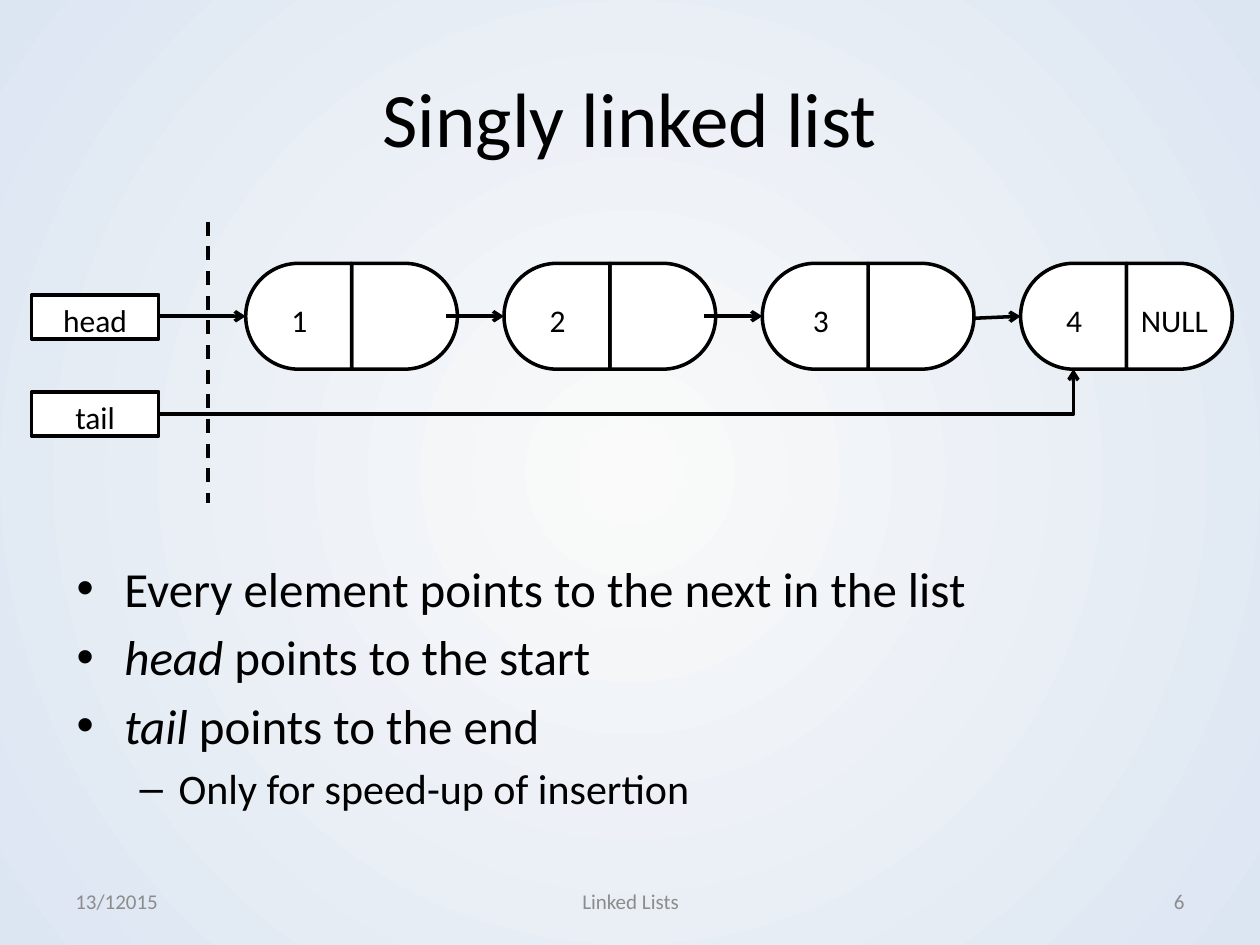
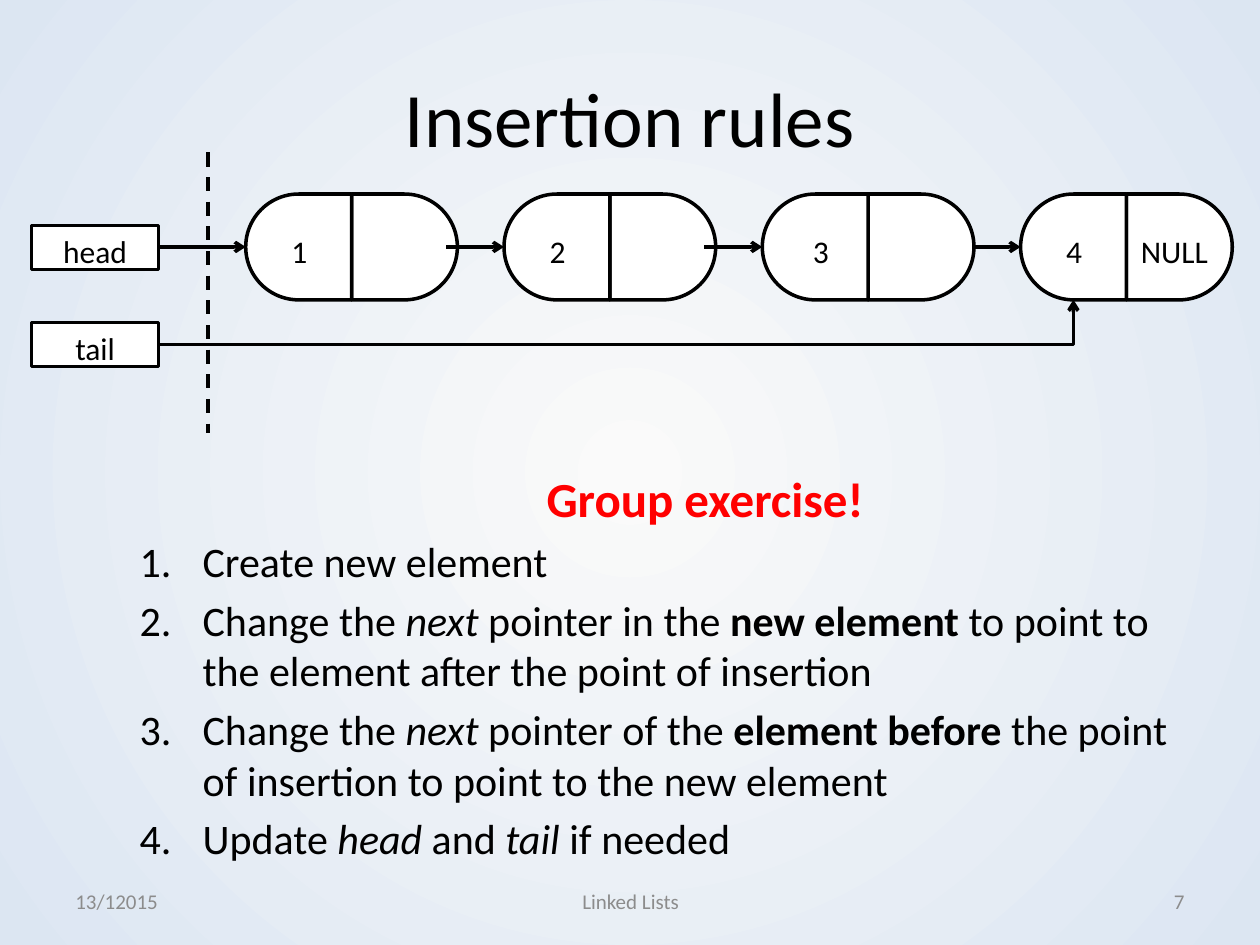
from lxml.etree import SubElement
from pptx import Presentation
from pptx.dml.color import RGBColor
from pptx.enum.dml import MSO_LINE
from pptx.enum.shapes import MSO_CONNECTOR as CONNECTOR, MSO_SHAPE as SHAPE
from pptx.enum.text import MSO_ANCHOR as ANCHOR, PP_ALIGN as ALIGN
from pptx.oxml.ns import qn
from pptx.util import Inches, Pt

BLACK = RGBColor(0x00, 0x00, 0x00)
WHITE = RGBColor(0xFF, 0xFF, 0xFF)
RED = RGBColor(0xFF, 0x00, 0x00)
GREY = RGBColor(0x8C, 0x8C, 0x8C)
CENTRE_TINT = RGBColor(0xFA, 0xFA, 0xFA)
EDGE_TINT = RGBColor(0xDC, 0xE6, 0xF2)

# Linked list geometry, in inches
CELL = 0.84
FIRST_NODE_LEFT = 1.95
NODE_PITCH = 2.05
ARROW_LENGTH = 0.46
BOX_LEFT, BOX_WIDTH, BOX_HEIGHT = 0.25, 1.01, 0.35
BOX_RIGHT = BOX_LEFT + BOX_WIDTH
LABEL_DROP = 0.25
TAIL_DROP = 1.02
DIVIDER_LEFT = 1.65

# Paragraph kinds: level, left margin, first-line indent, bullet
BULLET = (0, 0.38, -0.38, "•")
DASH = (1, 0.81, -0.31, "–")
NUMBER = (1, 1, -0.5, "number")
CALLOUT = (1, 3.73, 0, None)


class Deck:
    """Holds the shared style and the slide being built."""

    font = "Calibri"
    line_width = Pt(2)

    def __init__(self):
        self.presentation = Presentation()
        self.presentation.slide_width = Inches(10)
        self.presentation.slide_height = Inches(7.5)
        self.slide = None

    def new_slide(self, title, number):
        self.slide = self.presentation.slides.add_slide(self.presentation.slide_layouts[6])
        self.paint_background()
        self.text(title, 0.5, 0.3, 9, 1.25, size=44, anchor=ANCHOR.MIDDLE)
        footers = (("13/12015", 0.5, 2.33, ALIGN.LEFT),
                   ("Linked Lists", 3.42, 3.17, ALIGN.CENTER),
                   (str(number), 7.17, 2.33, ALIGN.RIGHT))
        for words, left, width, align in footers:
            self.text(words, left, 6.95, width, 0.4, size=12, color=GREY,
                      align=align, anchor=ANCHOR.MIDDLE)

    def paint_background(self):
        fill = self.slide.background.fill
        fill.gradient()
        for stop, color, position in zip(fill.gradient_stops, (CENTRE_TINT, EDGE_TINT), (0, 1)):
            stop.color.rgb = color
            stop.position = position
        # Radial instead of linear
        gradient = self.slide.background._cSld.find(".//" + qn("a:gradFill"))
        gradient.remove(gradient.find(qn("a:lin")))
        radial = SubElement(gradient, qn("a:path"), path="circle")
        SubElement(radial, qn("a:fillToRect"), l="50000", t="50000", r="50000", b="50000")

    def style_run(self, run, size, color=BLACK, bold=False, italic=False):
        font = run.font
        font.name, font.size = self.font, Pt(size)
        font.bold, font.italic = bold, italic
        font.color.rgb = color

    def fill_text(self, shape, words, size, color, align, anchor):
        frame = shape.text_frame
        frame.word_wrap = True
        frame.vertical_anchor = anchor
        frame.text = words
        paragraph = frame.paragraphs[0]
        paragraph.alignment = align
        self.style_run(paragraph.runs[0], size, color)

    def text(self, words, left, top, width, height, size=18, color=BLACK,
             align=ALIGN.CENTER, anchor=ANCHOR.TOP):
        box = self.slide.shapes.add_textbox(
            Inches(left), Inches(top), Inches(width), Inches(height))
        self.fill_text(box, words, size, color, align, anchor)

    def body(self, top, height, items):
        """Each item is a paragraph kind, a size and (words, style) pieces."""
        box = self.slide.shapes.add_textbox(
            Inches(0.51), Inches(top), Inches(9), Inches(height))
        frame = box.text_frame
        frame.word_wrap = True
        for index, (kind, size, pieces) in enumerate(items):
            paragraph = frame.add_paragraph() if index else frame.paragraphs[0]
            self.format_paragraph(paragraph, *kind)
            for words, style in pieces:
                run = paragraph.add_run()
                run.text = words
                self.style_run(run, size, **style)

    def format_paragraph(self, paragraph, level, margin, indent, bullet):
        paragraph.level = level
        properties = paragraph._p.get_or_add_pPr()
        properties.set("marL", str(Inches(margin)))
        properties.set("indent", str(Inches(indent)))
        spacing = SubElement(properties, qn("a:spcBef"))
        SubElement(spacing, qn("a:spcPct"), val="20000")
        if bullet is None:
            SubElement(properties, qn("a:buNone"))
        elif bullet == "number":
            SubElement(properties, qn("a:buFont"), typeface="+mj-lt")
            SubElement(properties, qn("a:buAutoNum"), type="arabicPeriod")
        else:
            SubElement(properties, qn("a:buFont"), typeface="Arial")
            SubElement(properties, qn("a:buChar"), char=bullet)

    def outline(self, kind, left, top, width, height):
        shape = self.slide.shapes.add_shape(
            kind, Inches(left), Inches(top), Inches(width), Inches(height))
        shape.shadow.inherit = False
        shape.fill.solid()
        shape.fill.fore_color.rgb = WHITE
        shape.line.color.rgb = BLACK
        shape.line.width = self.line_width
        return shape

    def pointer_box(self, words, top):
        box = self.outline(SHAPE.RECTANGLE, BOX_LEFT, top, BOX_WIDTH, BOX_HEIGHT)
        self.fill_text(box, words, 18, BLACK, ALIGN.CENTER, ANCHOR.TOP)

    def line(self, start, end, arrow=True, dashed=False, bent=False):
        kind = CONNECTOR.ELBOW if bent else CONNECTOR.STRAIGHT
        connector = self.slide.shapes.add_connector(
            kind, *(Inches(value) for value in (*start, *end)))
        connector.line.color.rgb = BLACK
        connector.line.width = self.line_width
        if dashed:
            connector.line.dash_style = MSO_LINE.DASH
        properties = connector._element.spPr
        if bent:
            # A single corner
            properties.find(qn("a:prstGeom")).set("prst", "bentConnector2")
        if arrow:
            SubElement(properties.find(qn("a:ln")), qn("a:tailEnd"), type="arrow")
        SubElement(properties, qn("a:effectLst"))

    def node(self, index, top, arrow_start=None, label_inset=0.12, pointer=None):
        left = FIRST_NODE_LEFT + index * NODE_PITCH
        self.outline(SHAPE.FLOWCHART_DELAY, left + CELL, top, CELL, CELL)
        self.outline(SHAPE.FLOWCHART_DELAY, left, top, CELL, CELL).rotation = 180
        self.text(str(index + 1), left + label_inset, top + LABEL_DROP, 0.61, 0.35)
        if pointer:
            self.text(pointer, left + CELL, top + LABEL_DROP, 0.76, 0.35)
        if index:
            middle = top + CELL / 2
            self.line(arrow_start or (left - ARROW_LENGTH, middle), (left, middle))

    def linked_list(self, top, last_arrow_start):
        middle = top + CELL / 2
        # Tail pointer, then the last node
        tail_top = top + TAIL_DROP
        last_centre = FIRST_NODE_LEFT + 3 * NODE_PITCH + CELL / 2
        self.pointer_box("tail", tail_top)
        self.line((BOX_RIGHT, tail_top + BOX_HEIGHT / 2), (last_centre, top + CELL), bent=True)
        self.node(3, top, last_arrow_start, pointer="NULL")
        # First node, divider and head pointer
        self.node(0, top)
        self.line((DIVIDER_LEFT, top - 0.33), (DIVIDER_LEFT, top + 1.9),
                  arrow=False, dashed=True)
        self.pointer_box("head", top + LABEL_DROP)
        self.line((BOX_RIGHT, middle), (FIRST_NODE_LEFT, middle))
        # Inner nodes
        self.node(1, top)
        self.node(2, top, label_inset=0.16)


def main():
    plain, italic, bold = {}, {"italic": True}, {"bold": True}
    deck = Deck()

    # Singly linked list
    deck.new_slide("Singly linked list", 6)
    deck.body(4.38, 2.63, [
        (BULLET, 28, [("Every element points to the next in the list", plain)]),
        (BULLET, 28, [("head ", italic), ("points to the start", plain)]),
        (BULLET, 28, [("tail", italic), (" points to the end", plain)]),
        (DASH, 24, [("Only for speed-up of insertion", plain)]),
    ])
    deck.linked_list(2.09, last_arrow_start=(7.64, 2.53))

    # Insertion rules
    deck.new_slide("Insertion rules", 7)
    deck.body(3.67, 3.34, [
        (CALLOUT, 28, [("Group exercise!", {"bold": True, "color": RED})]),
        (NUMBER, 24, [("Create new element", plain)]),
        (NUMBER, 24, [("Change the ", plain), ("next", italic), (" pointer in the ", plain),
                      ("new element ", bold),
                      ("to point to the element after the point of insertion", plain)]),
        (NUMBER, 24, [("Change the ", plain), ("next", italic), (" pointer of the ", plain),
                      ("element before ", bold),
                      ("the point of insertion to point to the new element", plain)]),
        (NUMBER, 24, [("Update ", plain), ("head", italic), (" and ", plain),
                      ("tail", italic), (" if needed", plain)]),
    ])
    deck.linked_list(1.54, last_arrow_start=(7.73, 1.96))

    deck.presentation.save("out.pptx")


if __name__ == "__main__":
    main()
